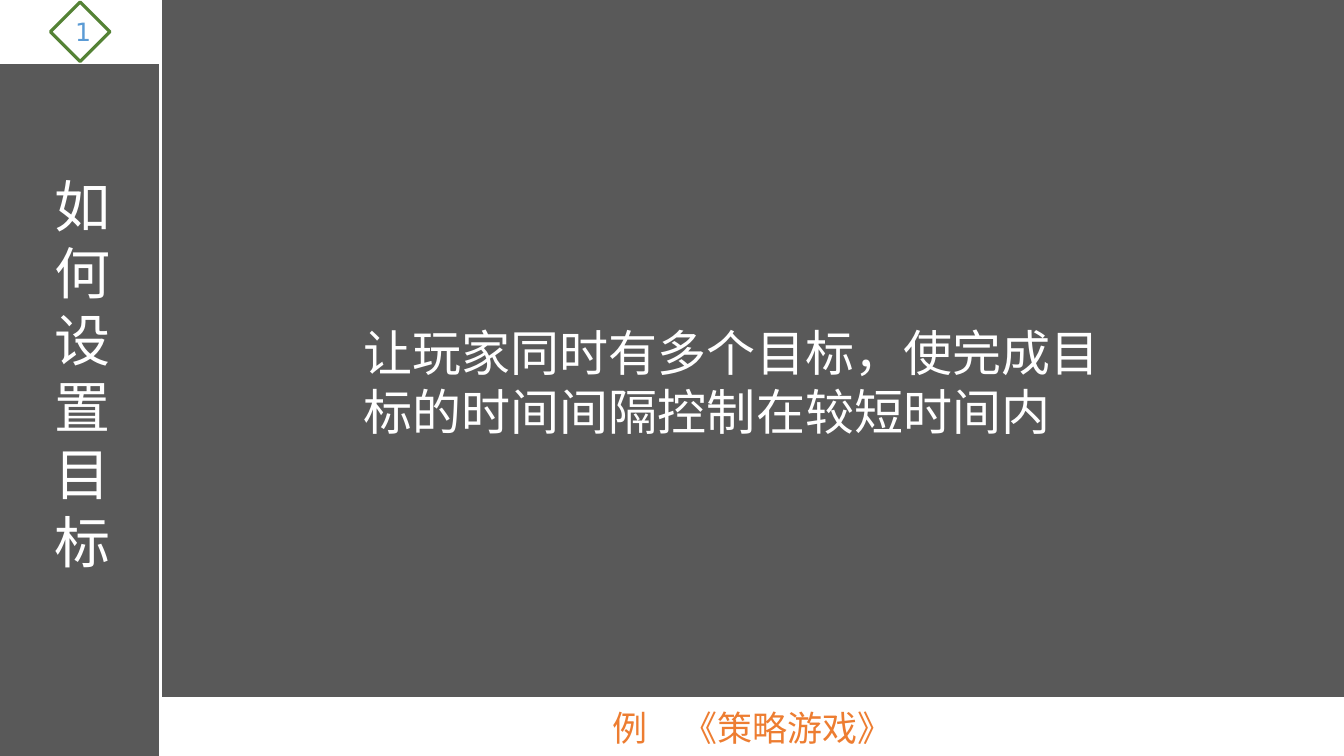
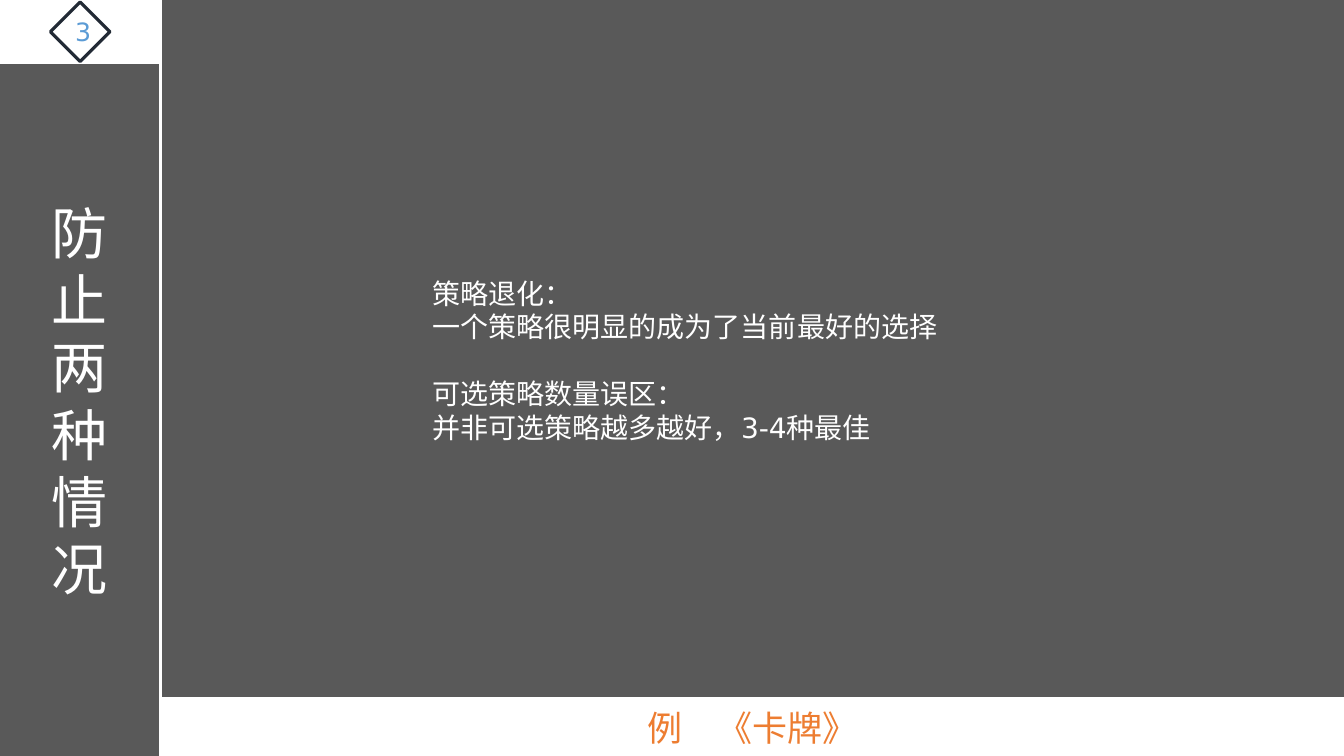
from pptx import Presentation
from pptx.dml.color import RGBColor
from pptx.enum.shapes import MSO_CONNECTOR, MSO_SHAPE
from pptx.enum.text import MSO_ANCHOR, MSO_AUTO_SIZE, PP_ALIGN
from pptx.oxml.ns import qn
from pptx.util import Inches, Pt
from lxml.etree import SubElement

FONT = "DejaVu Sans"
GREY = RGBColor(0x59, 0x59, 0x59)
WHITE = RGBColor(0xFF, 0xFF, 0xFF)
BLUE = RGBColor(0x5B, 0x9B, 0xD5)
ORANGE = RGBColor(0xED, 0x7D, 0x31)
GREEN = RGBColor(0x54, 0x82, 0x35)
NAVY = RGBColor(0x22, 0x2A, 0x35)

SLIDE_WIDTH, SLIDE_HEIGHT = 13.33, 7.5
SIDEBAR_WIDTH = 1.59
BADGE_HEIGHT = 0.63
DIAMOND_SIZE = 0.59
FOOTER_HEIGHT = 0.57


def write_text(shape, lines, size, color, alignment=None):
    """Fill a shape with one paragraph per line in a single style."""
    text_frame = shape.text_frame
    text_frame.word_wrap = True
    text_frame.text = "\n".join(lines)
    for paragraph in text_frame.paragraphs:
        paragraph.alignment = alignment
        for run in paragraph.runs:
            run.font.name = FONT
            run.font.size = Pt(size)
            run.font.color.rgb = color


def add_text(slide, box, lines, size, alignment=None):
    text_box = slide.shapes.add_textbox(*map(Inches, box))
    write_text(text_box, lines, size, WHITE, alignment)
    text_box.text_frame.auto_size = MSO_AUTO_SIZE.SHAPE_TO_FIT_TEXT
    return text_box


def add_outlined(shapes, preset, box, fill, line_color, line_width):
    shape = shapes.add_shape(preset, *map(Inches, box))
    shape.shadow.inherit = False
    if fill is None:
        shape.fill.background()
    else:
        shape.fill.solid()
        shape.fill.fore_color.rgb = fill
    shape.line.color.rgb = line_color
    shape.line.width = Pt(line_width)
    shape.text_frame.vertical_anchor = MSO_ANCHOR.MIDDLE
    return shape


def add_divider(slide, x):
    divider = slide.shapes.add_connector(
        MSO_CONNECTOR.STRAIGHT, Inches(x), 0, Inches(x), Inches(SLIDE_HEIGHT))
    divider.line.color.rgb = WHITE
    divider.line.width = Pt(2.25)
    SubElement(divider.element.spPr, qn("a:effectLst"))


def add_badge(slide, box, number, color):
    """White band with the numbered diamond in its middle."""
    left, top, width, height = box
    shapes = slide.shapes.add_group_shape().shapes
    add_outlined(shapes, MSO_SHAPE.RECTANGLE, box, WHITE, WHITE, 1.5)
    diamond_box = (left + (width - DIAMOND_SIZE) / 2,
                   top + (height - DIAMOND_SIZE) / 2, DIAMOND_SIZE, DIAMOND_SIZE)
    diamond = add_outlined(shapes, MSO_SHAPE.DIAMOND, diamond_box, None, color, 2.25)
    write_text(diamond, [number], 18, BLUE, PP_ALIGN.CENTER)


def add_footer(slide, box, example):
    footer = add_outlined(slide.shapes, MSO_SHAPE.RECTANGLE, box, WHITE, WHITE, 1.5)
    write_text(footer, [example], 25, ORANGE, PP_ALIGN.CENTER)


def add_topic_slide(presentation, number, badge_color, title, title_box,
                    body, body_box, body_size, example):
    """Sidebar title, main text and example footer; returns the main text."""
    slide = presentation.slides.add_slide(presentation.slide_layouts[6])
    add_divider(slide, SIDEBAR_WIDTH)
    # The narrow box stacks the title one character per line
    add_text(slide, title_box, [title], 40, PP_ALIGN.CENTER)
    add_badge(slide, (0, 0, SIDEBAR_WIDTH, BADGE_HEIGHT), number, badge_color)
    body_text = add_text(slide, body_box, body, body_size)
    add_footer(slide, (SIDEBAR_WIDTH, SLIDE_HEIGHT - FOOTER_HEIGHT,
                       SLIDE_WIDTH - SIDEBAR_WIDTH, FOOTER_HEIGHT), example)
    return body_text


def main():
    presentation = Presentation()
    presentation.slide_width = Inches(SLIDE_WIDTH)
    presentation.slide_height = Inches(SLIDE_HEIGHT)

    # Shared background
    background = presentation.slide_master.background.fill
    background.solid()
    background.fore_color.rgb = GREY

    # Setting goals
    add_topic_slide(
        presentation, "1", GREEN, "如何设置目标", (0.31, 1.65, 1.02, 4.14),
        ["让玩家同时有多个目标，使完成目标的时间间隔控制在较短时间内"],
        (3.51, 3.15, 7.8, 1.28), 35, "例　《策略游戏》")

    # Two situations to prevent
    situations = add_topic_slide(
        presentation, "3", NAVY, "防止两种情况", (0.28, 1.92, 1.02, 4.14),
        ["策略退化：", "一个策略很明显的成为了当前最好的选择",
         "可选策略数量误区：", "并非可选策略越多越好，3-4种最佳"],
        (4.19, 2.69, 6.26, 1.78), 20, "例　《卡牌》")
    situations.text_frame.paragraphs[2].space_before = Pt(24)

    presentation.save("out.pptx")


if __name__ == "__main__":
    main()
